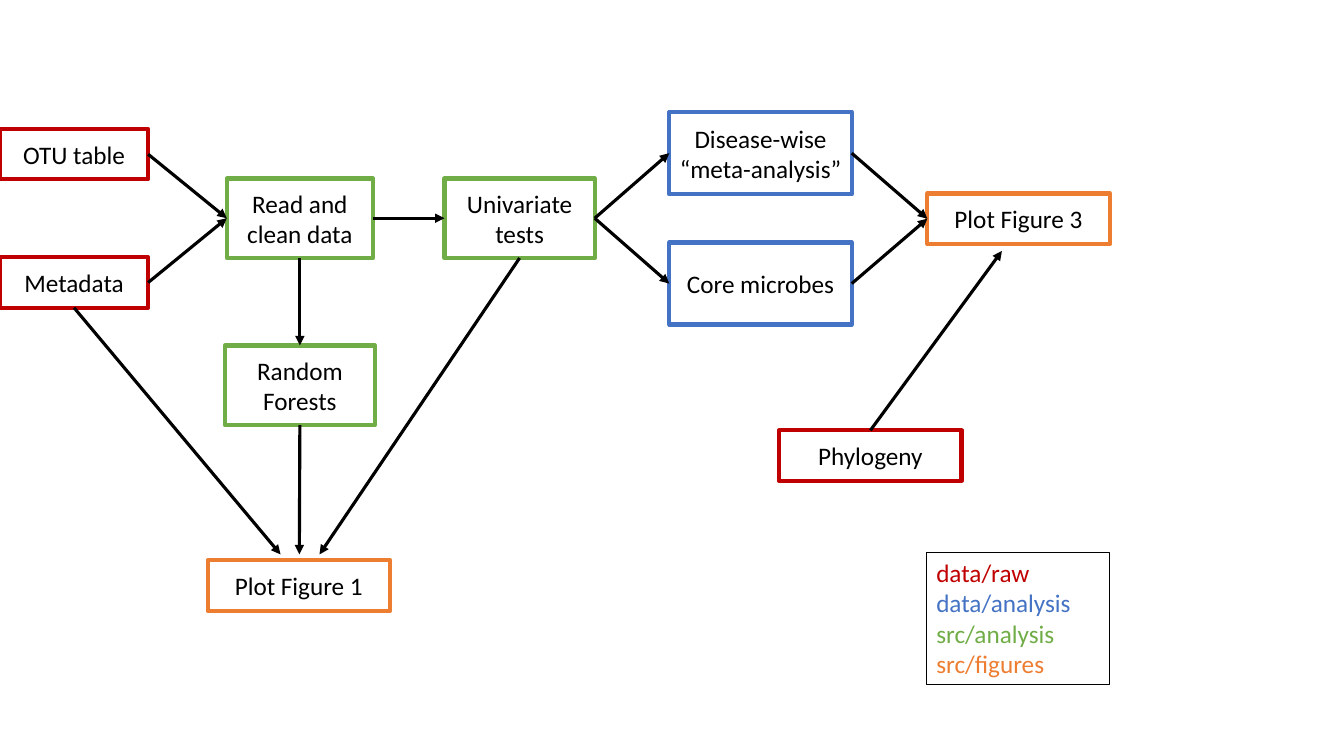
from lxml import etree
from pptx import Presentation
from pptx import util as u
from pptx.dml.color import RGBColor
from pptx.enum import shapes, text
from pptx.oxml.ns import qn

COLS, ROWS = 80, 45
TOP, LEFT, BOTTOM, RIGHT = range(4)
HUES = {
    "raw": "C00000",
    "data": "4472C4",
    "code": "70AD47",
    "plot": "ED7D31",
    "ink": "000000",
    "paper": "FFFFFF",
}


def hue(name):
    return RGBColor.from_string(HUES[name])


def write(para, words, size=18, font="Calibri", color="ink", align=text.PP_ALIGN.CENTER):
    para.alignment = align
    run = para.add_run()
    run.text = words
    run.font.size = u.Pt(size)
    run.font.name = font
    run.font.color.rgb = hue(color)


class Chart:
    def __init__(self, deck):
        self.slide = deck.slides.add_slide(deck.slide_layouts[6])
        self.wide = deck.slide_width / COLS
        self.high = deck.slide_height / ROWS

    def spot(self, col, row):
        return round(col * self.wide), round(row * self.high)

    def frame(self, col, row, cols, rows, color, weight):
        box = self.slide.shapes.add_shape(
            shapes.MSO_SHAPE.RECTANGLE, *self.spot(col, row), *self.spot(cols, rows))
        box.shadow.inherit = False
        box.line.color.rgb = hue(color)
        box.line.width = u.Pt(weight)
        box.text_frame.word_wrap = True
        return box

    def step(self, words, color, col, row, cols, rows):
        box = self.frame(col, row, cols, rows, color, 3)
        box.fill.solid()
        box.fill.fore_color.rgb = hue("paper")
        box.text_frame.vertical_anchor = text.MSO_ANCHOR.MIDDLE
        write(box.text_frame.paragraphs[0], words)
        return box

    def legend(self, col, row, cols, rows, items):
        box = self.frame(col, row, cols, rows, "ink", 0.75)
        box.fill.background()
        body = box.text_frame
        body.vertical_anchor = text.MSO_ANCHOR.TOP
        for i, (words, color) in enumerate(items):
            para = body.add_paragraph() if i else body.paragraphs[0]
            write(para, words, color=color, align=text.PP_ALIGN.LEFT)

    def arrow(self, start, side, goal=None, into=LEFT, point=(0, 0)):
        end = self.spot(*point)
        line = self.slide.shapes.add_connector(
            shapes.MSO_CONNECTOR.STRAIGHT, start.left, start.top, *end)
        line.begin_connect(start, side)
        if goal is not None:
            line.end_connect(goal, into)
        line.line.color.rgb = hue("ink")
        line.line.width = u.Pt(2.25)
        etree.SubElement(line.line._get_or_add_ln(), qn("a:tailEnd"), type="triangle")
        etree.SubElement(line._element.spPr, qn("a:effectLst"))


def main():
    deck = Presentation()
    deck.slide_width = u.Inches(40 / 3)
    deck.slide_height = u.Inches(7.5)
    flow = Chart(deck)

    flow.legend(55.14, 32.88, 10.92, 7.86, [
        ("data/raw", "raw"),
        ("data/analysis", "data"),
        ("src/analysis", "code"),
        ("src/figures", "plot"),
    ])

    otu = flow.step("OTU table", "raw", 0, 7.68, 8.82, 3)
    meta = flow.step("Metadata", "raw", 0, 15.32, 8.82, 3)
    clean = flow.step("Read and clean data", "code", 13.5, 10.62, 8.7, 4.74)
    tests = flow.step("Univariate tests", "code", 26.46, 10.62, 8.94, 4.74)
    forest = flow.step("Random Forests", "code", 13.38, 20.56, 8.94, 4.74)
    wise = flow.step("Disease-wise “meta-analysis”", "data", 39.84, 6.68, 10.86, 4.88)
    core = flow.step("Core microbes", "data", 39.84, 14.44, 10.86, 4.88)
    tree = flow.step("Phylogeny", "raw", 46.38, 25.62, 10.86, 3)
    third = flow.step("Plot Figure 3", "plot", 55.2, 11.52, 10.86, 3)
    flow.step("Plot Figure 1", "plot", 12.36, 33.36, 10.86, 3)

    for start, goal in [(otu, clean), (meta, clean), (clean, tests), (tests, wise),
                        (tests, core), (wise, third), (core, third)]:
        flow.arrow(start, RIGHT, goal)
    flow.arrow(clean, BOTTOM, forest, TOP)
    for start, col in [(meta, 16.7), (forest, 17.82), (tests, 19.02)]:
        flow.arrow(start, BOTTOM, point=(col, 33))
    flow.arrow(tree, TOP, point=(59.64, 14.94))

    deck.save("out.pptx")


if __name__ == "__main__":
    main()
